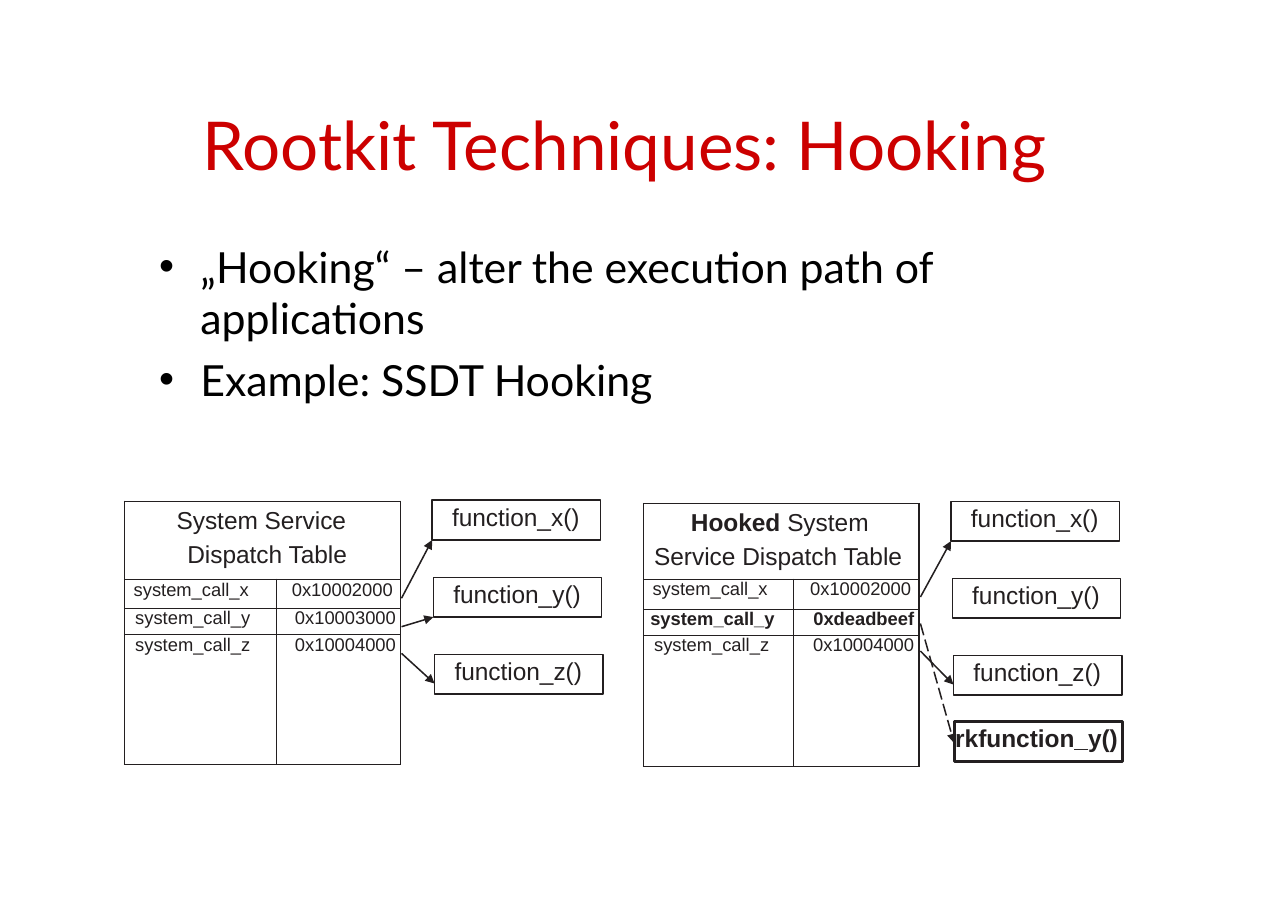
from pptx import Presentation
from pptx.dml.color import RGBColor
from pptx.enum.dml import MSO_LINE_DASH_STYLE as Dash
from pptx.enum.shapes import MSO_CONNECTOR as Conn, MSO_SHAPE as Shape
from pptx.enum.text import MSO_ANCHOR as Anchor, PP_ALIGN as Align
from pptx.oxml import parse_xml
from pptx.oxml.ns import nsdecls
from pptx.util import Pt
from lxml import etree

RED = RGBColor(0xCC, 0x00, 0x00)
BLACK = RGBColor(0x00, 0x00, 0x00)
INK = RGBColor(0x23, 0x1F, 0x20)
NS = nsdecls("a")
A = "{http://schemas.openxmlformats.org/drawingml/2006/main}"
ROW_COUNT = 4


def add_run(p, text, size, color=INK, font="Arial", bold=False):
    r = p.add_run()
    r.text = text
    r.font.size = Pt(size)
    r.font.name = font
    r.font.bold = bold
    r.font.color.rgb = color


def set_indent(p, left, first):
    pPr = p._p.get_or_add_pPr()
    pPr.set("marL", str(Pt(left)))
    pPr.set("indent", str(Pt(first)))
    return pPr


def set_margins(box, left=0, top=0, right=0):
    box.margin_left, box.margin_top = Pt(left), Pt(top)
    box.margin_right, box.margin_bottom = Pt(right), Pt(0)


def add_text_box(s, x, y, w, h):
    tf = s.shapes.add_textbox(Pt(x), Pt(y), Pt(w), Pt(h)).text_frame
    tf.word_wrap = True
    set_margins(tf)
    return tf


def add_title(s, x, y, w, h, text):
    p = add_text_box(s, x, y, w, h).paragraphs[0]
    add_run(p, text, 44, RED, "Lato")


def add_bullets(s, x, y, w, h, items):
    tf = add_text_box(s, x, y, w, h)
    for i, text in enumerate(items):
        p = tf.add_paragraph() if i else tf.paragraphs[0]
        p.line_spacing = 1.0
        p.space_before = Pt(6.7 if i else 0)
        pPr = set_indent(p, 28, -27)
        pPr.append(parse_xml(f'<a:buFont {NS} typeface="Arial"/>'))
        pPr.append(parse_xml(f'<a:buChar {NS} char="•"/>'))
        add_run(p, text, 28, BLACK, "Lato")


def add_function(s, x, y, name, bold=False):
    sp = s.shapes.add_shape(Shape.RECTANGLE, Pt(x), Pt(y), Pt(110), Pt(26))
    sp.shadow.inherit = False
    sp.fill.background()
    sp.line.color.rgb = INK
    sp.line.width = Pt(2 if bold else 1)
    tf = sp.text_frame
    tf.word_wrap = True
    tf.vertical_anchor = Anchor.TOP
    set_margins(tf, 0.7 if bold else 13, 1)
    p = tf.paragraphs[0]
    p.alignment = Align.LEFT
    add_run(p, name, 16, bold=bold)


def add_arrow(s, x1, y1, x2, y2, dashed=False):
    cx = s.shapes.add_connector(Conn.STRAIGHT, Pt(x1), Pt(y1), Pt(x2), Pt(y2))
    cx.line.color.rgb = INK
    cx.line.width = Pt(1)
    if dashed:
        cx.line.dash_style = Dash.LONG_DASH
    cx.line._get_or_add_ln().append(parse_xml(f'<a:tailEnd {NS} type="triangle"/>'))
    etree.SubElement(cx._element.spPr, A + "effectLst")


def style_cell(cell, row, col):
    cell.vertical_anchor = Anchor.TOP
    widths = {
        "L": 0.5 if col and row else 1,
        "R": 1 if col or not row else 0.5,
        "T": 0.5 if row > 1 else 1,
        "B": 0.5 if 0 < row < ROW_COUNT - 1 else 1,
    }
    tcPr = cell._tc.get_or_add_tcPr()
    for side, width in widths.items():
        tcPr.append(parse_xml(
            f'<a:ln{side} {NS} w="{Pt(width)}"><a:solidFill>'
            f'<a:srgbClr val="{INK}"/></a:solidFill></a:ln{side}>'))
    cell.fill.background()


def add_dispatch_table(s, x, y, table):
    cols, rows = table["cols"], table["rows"]
    tb = s.shapes.add_table(ROW_COUNT, 2, Pt(x), Pt(y), Pt(sum(cols)), Pt(sum(rows))).table
    tb.first_row = tb.horz_banding = False
    for c, width in enumerate(cols):
        tb.columns[c].width = Pt(width)
    for r, height in enumerate(rows):
        tb.rows[r].height = Pt(height)
        for c in range(2):
            set_margins(tb.cell(r, c))
            style_cell(tb.cell(r, c), r, c)

    tb.cell(0, 0).merge(tb.cell(0, 1))
    p = tb.cell(0, 0).text_frame.paragraphs[0]
    p.line_spacing = 1.23
    set_indent(p, *table["indent"])
    for i, line in enumerate(table["header"]):
        if i:
            p.add_line_break()
        for text, bold in line:
            add_run(p, text, 16, bold=bold)

    for r, (call, address, bold, before) in enumerate(table["calls"], 1):
        left = 4.5 if bold else 6 if r == 1 else 7
        right = 5 if r == 1 else 3
        for c, text in enumerate((call, address)):
            cell = tb.cell(r, c)
            set_margins(cell, 0 if c else left, 0, right if c else 0)
            p = cell.text_frame.paragraphs[0]
            p.alignment = Align.RIGHT if c else Align.LEFT
            p.space_before = Pt(before)
            add_run(p, text, 12, bold=bold)


def add_dispatch_diagram(s, x, y, table, functions, arrows):
    add_dispatch_table(s, x, y, table)
    for dx, dy, name, bold in functions:
        add_function(s, x + dx, y + dy, name, bold)
    for start, target, drop, dashed in arrows:
        dx, dy = functions[target][:2]
        add_arrow(s, x + 181, y + start, x + dx, y + dy + drop, dashed)


def stacked_functions(top):
    return [(201 + 0.8 * i, top + 50.4 * i, f"function_{n}()", False)
            for i, n in enumerate("xyz")]


PLAIN_TABLE = {
    "cols": (99, 81.4), "rows": (51, 18.9, 17.1, 85),
    "indent": (41, -7),
    "header": [[("System Service", False)], [("Dispatch Table", False)]],
    "calls": [("system_call_x", "0x10002000", False, 0.4),
              ("system_call_y", "0x10003000", False, 0),
              ("system_call_z", "0x10004000", False, 0)],
}
HOOKED_TABLE = {
    "cols": (98, 82), "rows": (49.6, 19.4, 17.1, 85.8),
    "indent": (7, 24),
    "header": [[("Hooked ", True), ("System", False)], [("Service Dispatch Table", False)]],
    "calls": [("system_call_x", "0x10002000", False, 1.9),
              ("system_call_y", "0xdeadbeef", True, 0.6),
              ("system_call_z", "0x10004000", False, 1.1)],
}

prs = Presentation()
prs.slide_width, prs.slide_height = Pt(841.68), Pt(594.72)
s = prs.slides.add_slide(prs.slide_layouts[6])
add_title(s, 132.5, 67.7, 578, 52.6, "Rootkit Techniques: Hooking")
add_bullets(s, 103, 157, 513, 108, [
    "„Hooking“ – alter the execution path of applications",
    "Example: SSDT Hooking"])
add_dispatch_diagram(
    s, 81.4, 327.6, PLAIN_TABLE, stacked_functions(-0.7),
    [(63.4, 0, 26, False), (82, 1, 26, False), (99.4, 2, 19, False)])
add_dispatch_diagram(
    s, 420.5, 329, HOOKED_TABLE,
    stacked_functions(-1.4) + [(203, 142.6, "rkfunction_y()", True)],
    [(61.2, 0, 26, False), (96.5, 2, 19, False), (78.5, 3, 14, True)])
prs.save("out.pptx")
